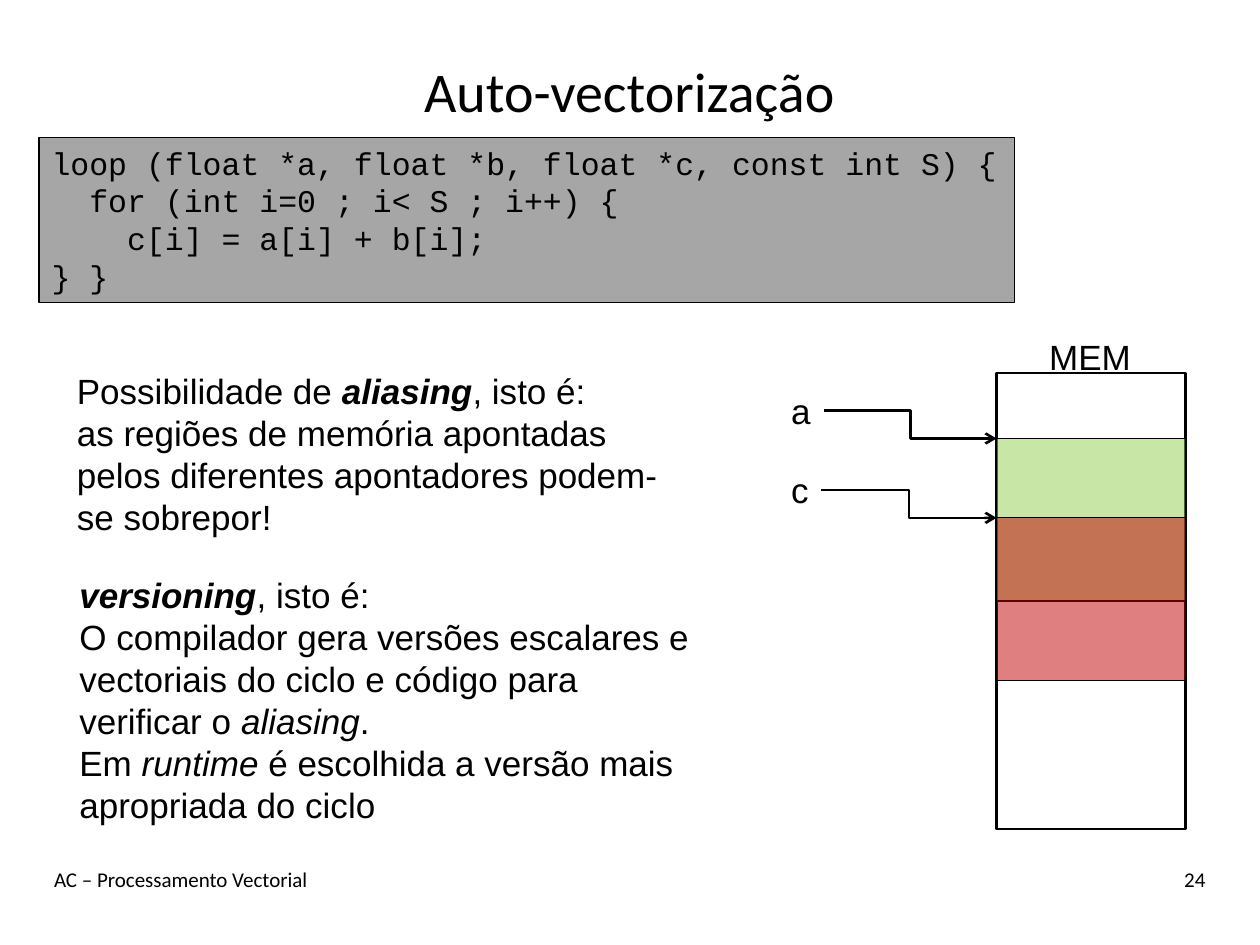
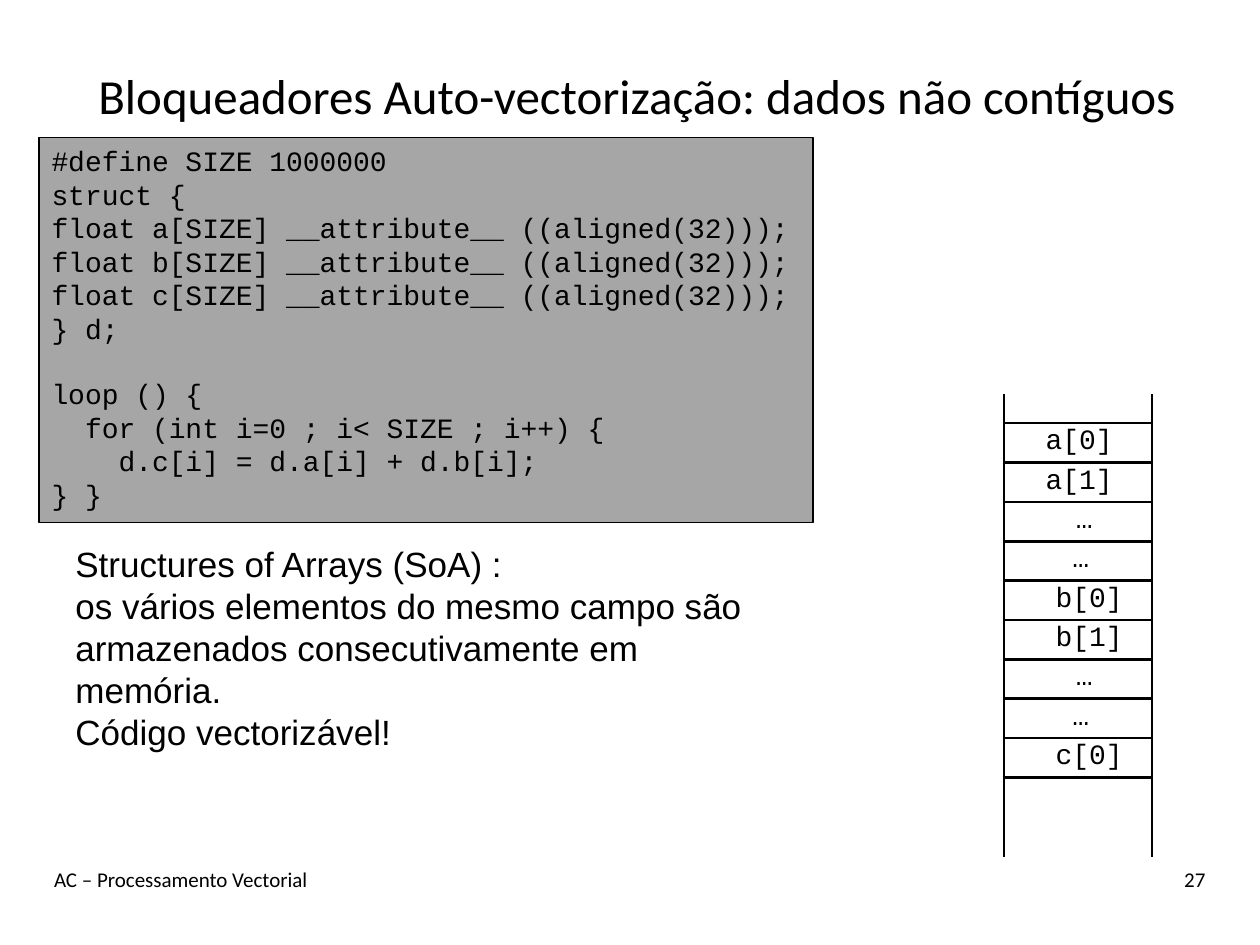
"""Build two slides on auto-vectorization: aliasing and structures of arrays."""
import pptx
import pptx.dml.color
import pptx.enum.shapes
import pptx.enum.text
import pptx.oxml.ns
import pptx.util
from lxml import etree

Cm = pptx.util.Cm
Pt = pptx.util.Pt
RGBColor = pptx.dml.color.RGBColor
ALIGN = pptx.enum.text.PP_ALIGN
ANCHOR = pptx.enum.text.MSO_ANCHOR
CONNECTOR = pptx.enum.shapes.MSO_CONNECTOR
qn = pptx.oxml.ns.qn

BLACK = RGBColor(0x00, 0x00, 0x00)
CODE_GRAY = RGBColor(0xA6, 0xA6, 0xA6)
REGION_GREEN = RGBColor(0x92, 0xD0, 0x50)
REGION_RED = RGBColor(0xC0, 0x00, 0x00)
TITLE_FONT, BODY_FONT, CODE_FONT = "Calibri", "Arial", "Courier New"


def add_box(slide, place, paragraphs, font, size, align=ALIGN.LEFT, anchor=ANCHOR.TOP,
            wrap=True, fill=None, line_width=None):
    """Add a text box, or an outlined rectangle if a line width is given; runs are (text, style)."""
    lengths = [Cm(value) for value in place]
    if line_width is None:
        shape = slide.shapes.add_textbox(*lengths)
    else:
        shape = slide.shapes.add_shape(pptx.enum.shapes.MSO_SHAPE.RECTANGLE, *lengths)
        shape.shadow.inherit = False
        shape.line.color.rgb = BLACK
        shape.line.width = Pt(line_width)
        if fill is None:
            shape.fill.background()
        else:
            shape.fill.solid()
            shape.fill.fore_color.rgb = fill
    frame = shape.text_frame
    frame.word_wrap = wrap
    frame.vertical_anchor = anchor
    for index, runs in enumerate(paragraphs):
        paragraph = frame.add_paragraph() if index else frame.paragraphs[0]
        paragraph.alignment = align
        for text, style in runs:
            run = paragraph.add_run()
            run.text = text
            run.font.name = font
            run.font.size = Pt(size)
            run.font.color.rgb = BLACK
            run.font.bold = "b" in style
            run.font.italic = "i" in style
    return shape


def add_line(slide, kind, start_x, start_y, end_x, end_y):
    """Add a black connector without a shadow."""
    line = slide.shapes.add_connector(kind, Cm(start_x), Cm(start_y), Cm(end_x), Cm(end_y))
    line.line.color.rgb = BLACK
    line.line.width = Pt(1.5)
    etree.SubElement(line._element.spPr, qn("a:effectLst"))
    return line


presentation = pptx.Presentation()
presentation.slide_width = Cm(25.4)
presentation.slide_height = Cm(19.05)

ALIASING_CODE = """loop (float *a, float *b, float *c, const int S) {
  for (int i=0 ; i< S ; i++) {
    c[i] = a[i] + b[i];
} }"""
SOA_CODE = """#define SIZE 1000000
struct {
float a[SIZE] __attribute__ ((aligned(32)));
float b[SIZE] __attribute__ ((aligned(32)));
float c[SIZE] __attribute__ ((aligned(32)));
} d;
loop () {
  for (int i=0 ; i< SIZE ; i++) {
    d.c[i] = d.a[i] + d.b[i];
} }"""

slides, code_panels = [], []
for title, title_size, title_left, title_top, number, code, code_size, width, height in (
    ("Auto-vectorização", 32, 0.84, 0.64, "24", ALIASING_CODE, 18, 19.66, 3.33),
    ("Bloqueadores Auto-vectorização: dados não contíguos", 28, 0.99, 0.74, "27",
     SOA_CODE, 16, 15.6, 7.77),
):
    slide = presentation.slides.add_slide(presentation.slide_layouts[6])
    add_box(slide, (title_left, title_top, 23.7, 2.34), [[(title, "")]], TITLE_FONT, title_size,
            ALIGN.CENTER, ANCHOR.MIDDLE)
    add_box(slide, (0.84, 17.35, 17.78, 1.27), [[("AC – Processamento Vectorial", "")]],
            TITLE_FONT, 12)
    add_box(slide, (21.16, 17.35, 3.39, 1.27), [[(number, "")]], TITLE_FONT, 12, ALIGN.RIGHT)
    code_lines = [[(text, "")] for text in code.split("\n")]
    code_panels.append(add_box(slide, (0.79, 2.77, width, height), code_lines, CODE_FONT,
                               code_size, wrap=False, fill=CODE_GRAY, line_width=0.75))
    slides.append(slide)
aliasing_slide, soa_slide = slides
code_panels[1].text_frame.paragraphs[6].space_before = Pt(18)

add_box(aliasing_slide, (1.3, 7.32, 12.8, 3.68), [
    [("Possibilidade de ", ""), ("aliasing", "bi"), (", isto é:", "")],
    [("as regiões de memória apontadas pelos diferentes apontadores podem-se sobrepor!", "")],
], BODY_FONT, 20)
add_box(aliasing_slide, (1.35, 11.43, 12.8, 5.38), [
    [("versioning", "bi"), (", isto é:", "")],
    [("O compilador gera versões escalares e vectoriais do ciclo e código para verificar o ", ""),
     ("aliasing", "i"), (".", "")],
    [("Em ", ""), ("runtime", "i"), (" é escolhida a versão mais apropriada do ciclo", "")],
], BODY_FONT, 20)

MEMORY_LEFT, MEMORY_WIDTH = 20.09, 3.81
add_box(aliasing_slide, (MEMORY_LEFT, 7.52, MEMORY_WIDTH, 9.19), [], BODY_FONT, 20,
        line_width=1.25)
add_box(aliasing_slide, (20.9, 6.63, 2.18, 1.12), [[("MEM", "")]], BODY_FONT, 20, wrap=False)
for index, (pointer, pointer_width, color) in enumerate(
        (("a", 0.91, REGION_GREEN), ("c", 0.86, REGION_RED))):
    region_top = 8.84 + 1.6 * index
    add_box(aliasing_slide, (15.7, region_top - 1.12, pointer_width, 1.12), [[(pointer, "")]],
            BODY_FONT, 20, wrap=False)
    region = add_box(aliasing_slide, (MEMORY_LEFT, region_top, MEMORY_WIDTH, 3.28), [],
                     BODY_FONT, 20, fill=color, line_width=0.75)
    color_element = region._element.spPr.find(qn("a:solidFill")).find(qn("a:srgbClr"))
    etree.SubElement(color_element, qn("a:alpha"), val="50000")
    arrow = add_line(aliasing_slide, CONNECTOR.ELBOW, 15.7 + pointer_width, region_top - 0.56,
                     MEMORY_LEFT, region_top)
    etree.SubElement(arrow.line._get_or_add_ln(), qn("a:tailEnd"), type="arrow")

add_box(soa_slide, (1.27, 10.82, 14.4, 4.52), [
    [("Structures of Arrays (SoA) :", "")],
    [("os vários elementos do mesmo campo são armazenados consecutivamente em memória.", "")],
    [("Código vectorizável!", "")],
], BODY_FONT, 20)

STACK_LEFT, STACK_RIGHT = 20.24, 23.22
FIRST_ROW, LAST_ROW = 8.53, 15.67
CELLS = (("a[0]", 20.83), ("a[1]", 20.83), ("…", 21.44), ("…", 21.37), ("b[0]", 21.03),
         ("b[1]", 21.03), ("…", 21.44), ("…", 21.37), ("c[0]", 21.03))
row_height = (LAST_ROW - FIRST_ROW) / len(CELLS)
for side in (STACK_LEFT, STACK_RIGHT):
    add_line(soa_slide, CONNECTOR.STRAIGHT, side, 7.95, side, 17.27)
for row in range(len(CELLS) + 1):
    row_top = FIRST_ROW + row * row_height
    add_line(soa_slide, CONNECTOR.STRAIGHT, STACK_LEFT, row_top, STACK_RIGHT, row_top)
for row, (label, left) in enumerate(CELLS):
    add_box(soa_slide, (left, FIRST_ROW + row * row_height - 0.15, 0.51 + 0.34 * len(label), 0.94),
            [[(label, "")]], CODE_FONT, 16, wrap=False)

presentation.save("out.pptx")
